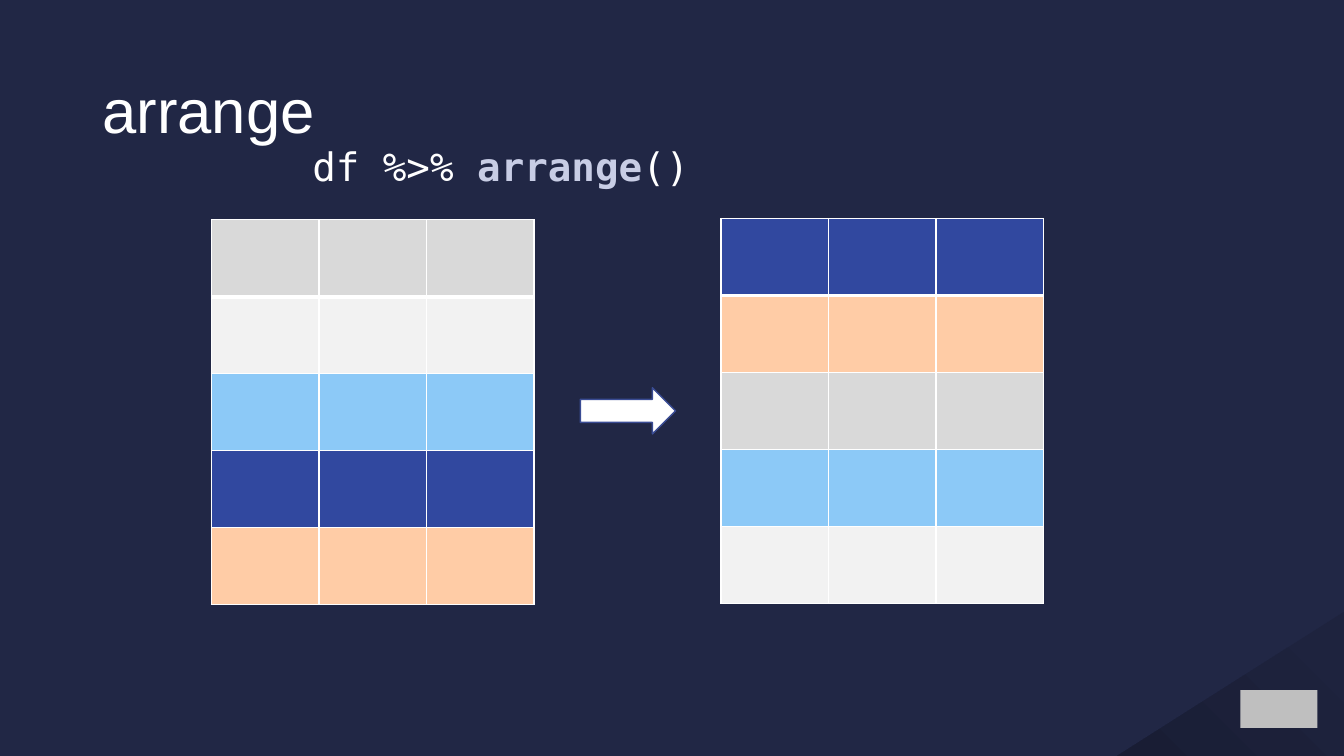
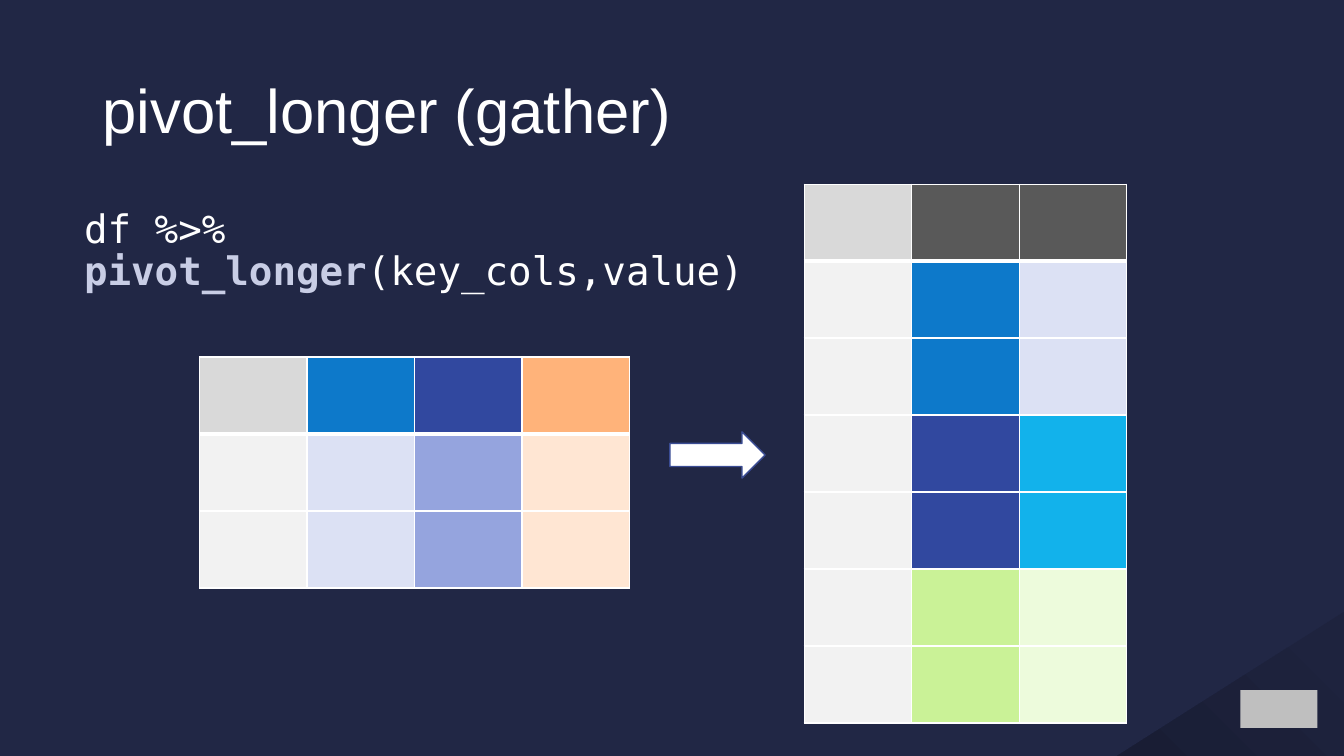
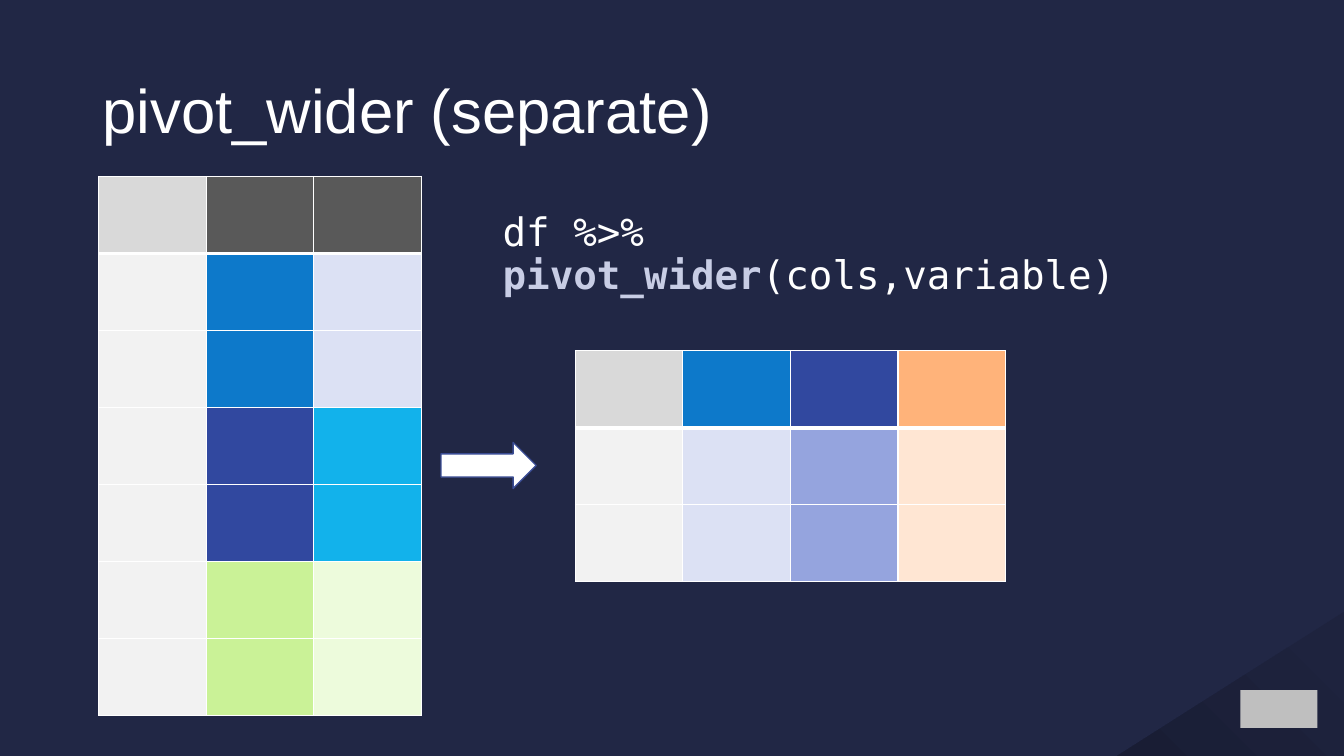
from pptx import Presentation
from pptx.dml.color import RGBColor
from pptx.enum import shapes, text
from pptx.oxml import parse_xml
from pptx.oxml.ns import nsdecls
from pptx.util import Pt

# Colours
NAVY, WHITE, LILAC, EDGE = "212745", "FFFFFF", "C8CDE5", "3A4C94"
GREY, PALE, DARK, SILVER = "D9D9D9", "F2F2F2", "595959", "BFBFBF"
SKY, BLUE, INDIGO, CYAN = "8CC9F7", "0D79CA", "31489F", "12B2EB"
PEACH, ORANGE, CREAM = "FFCCA6", "FFB37A", "FFE6D3"
MIST, PERI, LIME, MINT = "DCE1F4", "95A4DE", "CAF297", "EDFBDC"

# Colour grids, row by row
MIXED = [[c] * 3 for c in (GREY, PALE, SKY, INDIGO, PEACH)]
SORTED = [[c] * 3 for c in (INDIGO, PEACH, GREY, SKY, PALE)]
WIDE = [[GREY, BLUE, INDIGO, ORANGE]] + [[PALE, MIST, PERI, CREAM]] * 2
PAIRS = [(BLUE, MIST), (INDIGO, CYAN), (LIME, MINT)]
LONG = [[GREY, DARK, DARK]] + [[PALE, *p] for p in PAIRS for _ in range(2)]


def rgb(code):
    return RGBColor.from_string(code)


class Deck:
    sans, mono = "Arial", "DejaVu Sans Mono"
    col, row = 76.8, 55

    def __init__(self):
        self.prs = Presentation()
        self.prs.slide_width, self.prs.slide_height = Pt(960), Pt(540)
        fill = self.prs.slide_master.background.fill
        fill.solid()
        fill.fore_color.rgb = rgb(NAVY)

    def page(self, title):
        self.slide = self.prs.slides.add_slide(self.prs.slide_layouts[5])
        self.corner()
        self.title(title)

    def shape(self, kind, x, y, w, h, fill=None, line=None):
        s = self.slide.shapes.add_shape(kind, Pt(x), Pt(y), Pt(w), Pt(h))
        s.shadow.inherit = False
        if fill:
            s.fill.solid()
            s.fill.fore_color.rgb = rgb(fill)
        if line:
            s.line.color.rgb = rgb(line)
            s.line.width = Pt(1)
        else:
            s.line.fill.background()
        return s

    def corner(self):
        # Shaded corner with a plain badge
        kind = shapes.MSO_SHAPE
        tri = self.shape(kind.ISOSCELES_TRIANGLE, 798, 437, 162, 103)
        tri.adjustments[0] = 1
        tri.fill.gradient()
        tri.fill.gradient_angle = 225
        stops = zip(tri.fill.gradient_stops, (0.06, 1), ("1E233E", "191D34"))
        for stop, pos, code in stops:
            stop.position = pos
            stop.color.rgb = rgb(code)
        self.shape(kind.RECTANGLE, 886, 493, 55, 27, SILVER)

    def font(self, run, name, size, color=WHITE, bold=False):
        f = run.font
        f.name, f.size, f.bold = name, Pt(size), bold
        f.color.rgb = rgb(color)

    def title(self, words):
        t = self.slide.shapes.title
        t.left, t.top, t.width, t.height = Pt(66), Pt(29), Pt(828), Pt(104)
        tf = t.text_frame
        tf.text = words
        tf.auto_size = text.MSO_AUTO_SIZE.NONE
        tf.vertical_anchor = text.MSO_ANCHOR.MIDDLE
        p = tf.paragraphs[0]
        p.alignment = text.PP_ALIGN.LEFT
        p.line_spacing = 0.9
        self.font(p.runs[0], self.sans, 44)

    def code(self, x, y, w, verb, args):
        box = self.slide.shapes.add_textbox(Pt(x), Pt(y), Pt(w), Pt(62))
        box.text_frame.word_wrap = True
        p = box.text_frame.paragraphs[0]
        p.line_spacing = 0.9
        for part in ("df %>% ", verb, args):
            run = p.add_run()
            run.text = part
            key = part == verb
            self.font(run, self.mono, 28, LILAC if key else WHITE, key)

    def border(self, cell, top, base):
        # Borders go ahead of the fill, in schema order
        props = cell._tc.get_or_add_tcPr()
        widths = (("L", 1), ("R", 1), ("T", top), ("B", base))
        for i, (side, w) in enumerate(widths):
            props.insert(i, parse_xml(
                f'<a:ln{side} {nsdecls("a")} w="{Pt(w)}"><a:solidFill>'
                f'<a:srgbClr val="{WHITE}"/></a:solidFill></a:ln{side}>'))

    def table(self, x, y, grid):
        rows, cols = len(grid), len(grid[0])
        tbl = self.slide.shapes.add_table(
            rows, cols, Pt(x), Pt(y),
            Pt(cols * self.col), Pt(rows * self.row)).table
        tbl.horz_banding = False
        for c in tbl.columns:
            c.width = Pt(self.col)
        for r, line in enumerate(grid):
            tbl.rows[r].height = Pt(self.row)
            for c, code in enumerate(line):
                cell = tbl.cell(r, c)
                cell.fill.solid()
                cell.fill.fore_color.rgb = rgb(code)
                self.border(cell, 3 if r == 1 else 1, 3 if r == 0 else 1)

    def arrow(self, x, y):
        self.shape(shapes.MSO_SHAPE.RIGHT_ARROW, x, y, 68, 33, WHITE, EDGE)


def main():
    deck = Deck()

    # Sorting rows
    deck.page("arrange")
    deck.table(151, 157, MIXED)
    deck.table(515, 156, SORTED)
    deck.arrow(414.5, 277)
    deck.code(216, 102, 740, "arrange", "()")

    # Wide to long
    deck.page("pivot_longer (gather)")
    deck.table(142.5, 255, WIDE)
    deck.table(574.5, 131.5, LONG)
    deck.arrow(478.5, 308.5)
    deck.code(53, 146, 498, "pivot_longer", "(key_cols,value)")

    # Long to wide
    deck.page("pivot_wider (separate)")
    deck.table(70.5, 126, LONG)
    deck.table(411, 250.5, WIDE)
    deck.arrow(315, 316)
    deck.code(352, 148.5, 498, "pivot_wider", "(cols,variable)")

    deck.prs.save("out.pptx")


if __name__ == "__main__":
    main()
